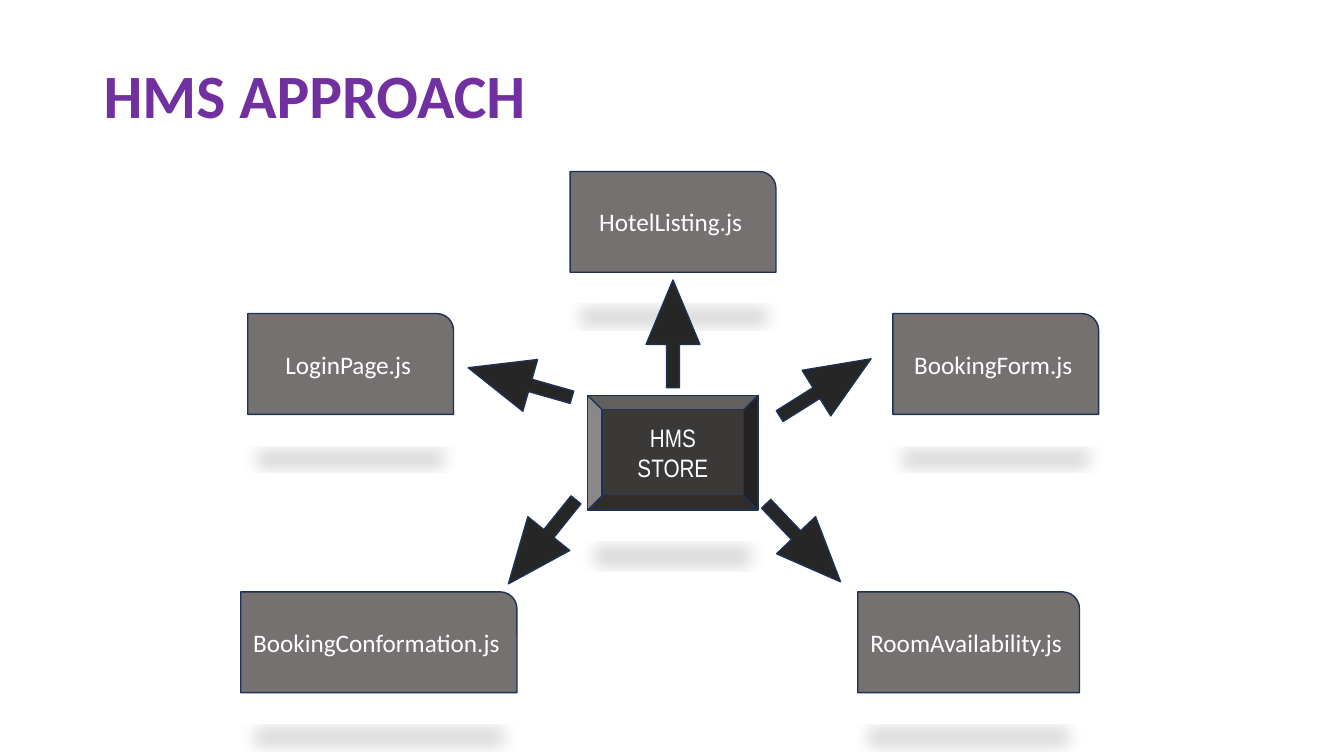
from dataclasses import dataclass

from lxml.etree import SubElement
from pptx import Presentation
from pptx.dml.color import RGBColor
from pptx.enum.shapes import MSO_SHAPE
from pptx.enum.text import MSO_ANCHOR, PP_ALIGN
from pptx.oxml.ns import qn
from pptx.util import Pt


@dataclass(frozen=True)
class Theme:
    title: str = "7030A0"
    store: str = "3B3838"
    component: str = "767171"
    arrow: str = "262626"
    outline: str = "1E3256"
    label: str = "FFFFFF"
    shadow: str = "000000"
    title_size: int = 44
    label_size: int = 18
    title_font: str = "Calibri"
    component_font: str = "Calibri"
    store_font: str = "Arial Narrow"


theme = Theme()
presentation = Presentation()
presentation.slide_width = Pt(960)
presentation.slide_height = Pt(540)
slide = presentation.slides.add_slide(presentation.slide_layouts[6])


def add_filled_shape(kind, left, top, width, height, fill):
    shape = slide.shapes.add_shape(kind, Pt(left), Pt(top), Pt(width), Pt(height))
    shape.shadow.inherit = False
    shape.fill.solid()
    shape.fill.fore_color.rgb = RGBColor.from_string(fill)
    shape.line.color.rgb = RGBColor.from_string(theme.outline)
    shape.line.width = Pt(1)
    return shape


def write_text(shape, text, font_name, size, color, alignment):
    text_frame = shape.text_frame
    text_frame.text = text
    text_frame.word_wrap = True
    text_frame.vertical_anchor = MSO_ANCHOR.MIDDLE
    paragraph = text_frame.paragraphs[0]
    paragraph.alignment = alignment
    font = paragraph.runs[0].font
    font.name = font_name
    font.size = Pt(size)
    font.color.rgb = RGBColor.from_string(color)
    return paragraph


# Title
title = slide.shapes.add_textbox(Pt(67), Pt(18), Pt(828), Pt(104.4))
paragraph = write_text(title, "HMS APPROACH", theme.title_font, theme.title_size,
                       theme.title, PP_ALIGN.LEFT)
paragraph.line_spacing = 0.9
paragraph.runs[0].font.bold = True

# Central store
store = add_filled_shape(MSO_SHAPE.BEVEL, 419.8, 282.4, 121.7, 82, theme.store)
write_text(store, "HMS STORE", theme.store_font, theme.label_size,
           theme.label, PP_ALIGN.CENTER)
store.text_frame.margin_left = store.text_frame.margin_right = Pt(10)
boxes = [store]

# Components around the store: name, left, top, width
components = [
    ("LoginPage.js", 177, 224, 147),
    ("HotelListing.js", 407.3, 122.5, 147),
    ("BookingConformation.js", 172, 422.8, 197.3),
    ("BookingForm.js", 637.8, 224, 147),
    ("RoomAvailability.js", 612.7, 422.8, 158.4),
]
for name, left, top, width in components:
    component = add_filled_shape(MSO_SHAPE.ROUND_1_RECTANGLE, left, top, width, 72,
                                 theme.component)
    write_text(component, name, theme.component_font, theme.label_size,
               theme.label, PP_ALIGN.CENTER)
    boxes.append(component)

# Flattened shadow below every box
for box in boxes:
    effects = box._element.spPr.find(qn("a:effectLst"))
    shadow = SubElement(effects, qn("a:outerShdw"), blurRad=str(Pt(12)),
                        dist=str(Pt(25)), dir="5400000", sx="90000", sy="-19000",
                        rotWithShape="0")
    shadow_color = SubElement(shadow, qn("a:srgbClr"), val=theme.shadow)
    SubElement(shadow_color, qn("a:alpha"), val="15000")

# Arrows from the store to the components: left, top, rotation
arrows = [
    (461.5, 200, 0),
    (352.3, 234.7, 285.9),
    (554.6, 349.2, 136.4),
    (570.3, 238.3, 57.9),
    (368.1, 348.5, 218.8),
]
for left, top, rotation in arrows:
    arrow = add_filled_shape(MSO_SHAPE.UP_ARROW, left, top, 38.4, 77, theme.arrow)
    arrow.adjustments[0] = 0.236
    arrow.adjustments[1] = 1.198
    arrow.rotation = rotation

presentation.save("out.pptx")
